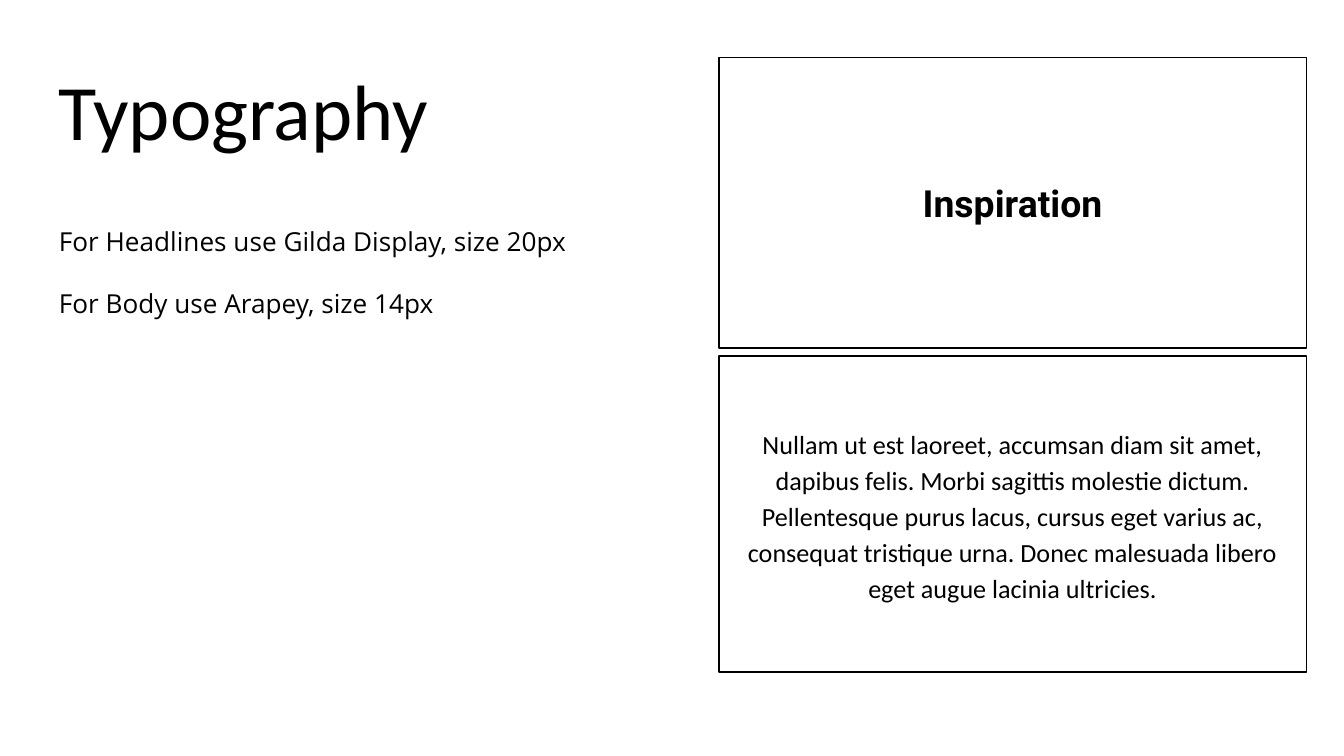
from pptx import Presentation
from pptx.dml.color import RGBColor
from pptx.enum.shapes import MSO_SHAPE
from pptx.enum.text import MSO_ANCHOR, PP_ALIGN
from pptx.util import Inches, Pt

BLACK = "000000"
WIDTH = 4.37
LEFT, RIGHT = 0.34, 5.35

NOTES = [
    "For Headlines use Gilda Display, size 20px",
    "For Body use Arapey, size 14px",
]
SAMPLE = (
    "Nullam ut est laoreet, accumsan diam sit amet, dapibus felis. "
    "Morbi sagittis molestie dictum. Pellentesque purus lacus, cursus eget "
    "varius ac, consequat tristique urna. Donec malesuada libero eget augue "
    "lacinia ultricies."
)


def color(code):
    return RGBColor.from_string(code)


def write(shape, lines, anchor, font, **layout):
    """Fill a shape with paragraphs; font and layout map attributes to values."""
    frame = shape.text_frame
    frame.word_wrap = True
    frame.vertical_anchor = anchor
    for side in ("left", "top", "right", "bottom"):
        setattr(frame, f"margin_{side}", Inches(0.1))
    for i, line in enumerate(lines):
        para = frame.paragraphs[0] if i == 0 else frame.add_paragraph()
        for name, value in layout.items():
            setattr(para, name, value)
        run = para.add_run()
        run.text = line
        for name, value in font.items():
            setattr(run.font, name, value)
        run.font.color.rgb = color(BLACK)


def add_text(slide, box, lines, anchor, font, **layout):
    shape = slide.shapes.add_textbox(*map(Inches, box))
    write(shape, lines, anchor, font, **layout)


def add_panel(slide, box, text, font, **layout):
    shape = slide.shapes.add_shape(MSO_SHAPE.RECTANGLE, *map(Inches, box))
    shape.shadow.inherit = False
    shape.fill.background()
    shape.line.color.rgb = color(BLACK)
    shape.line.width = Pt(0.75)
    write(shape, [text], MSO_ANCHOR.MIDDLE, font,
          alignment=PP_ALIGN.CENTER, **layout)


def main():
    deck = Presentation()
    deck.slide_width = Inches(10)
    deck.slide_height = Inches(10 * 9 / 16)
    slide = deck.slides.add_slide(deck.slide_layouts[6])

    add_text(slide, (LEFT, 0.35, WIDTH, 0.91), ["Typography"],
             MSO_ANCHOR.BOTTOM, {"name": "Calibri", "size": Pt(42)})
    add_text(slide, (LEFT, 1.34, WIDTH, 3.67), NOTES, MSO_ANCHOR.TOP,
             {"name": "Open Sans", "size": Pt(14)}, line_spacing=2.0)
    add_panel(slide, (RIGHT, 2.65, WIDTH, 2.35), SAMPLE,
              {"name": "Calibri", "size": Pt(14)},
              line_spacing=1.15, space_after=Pt(16))
    add_panel(slide, (RIGHT, 0.43, WIDTH, 2.16), "Inspiration",
              {"name": "Roboto", "size": Pt(20), "bold": True})

    deck.save("out.pptx")


if __name__ == "__main__":
    main()
